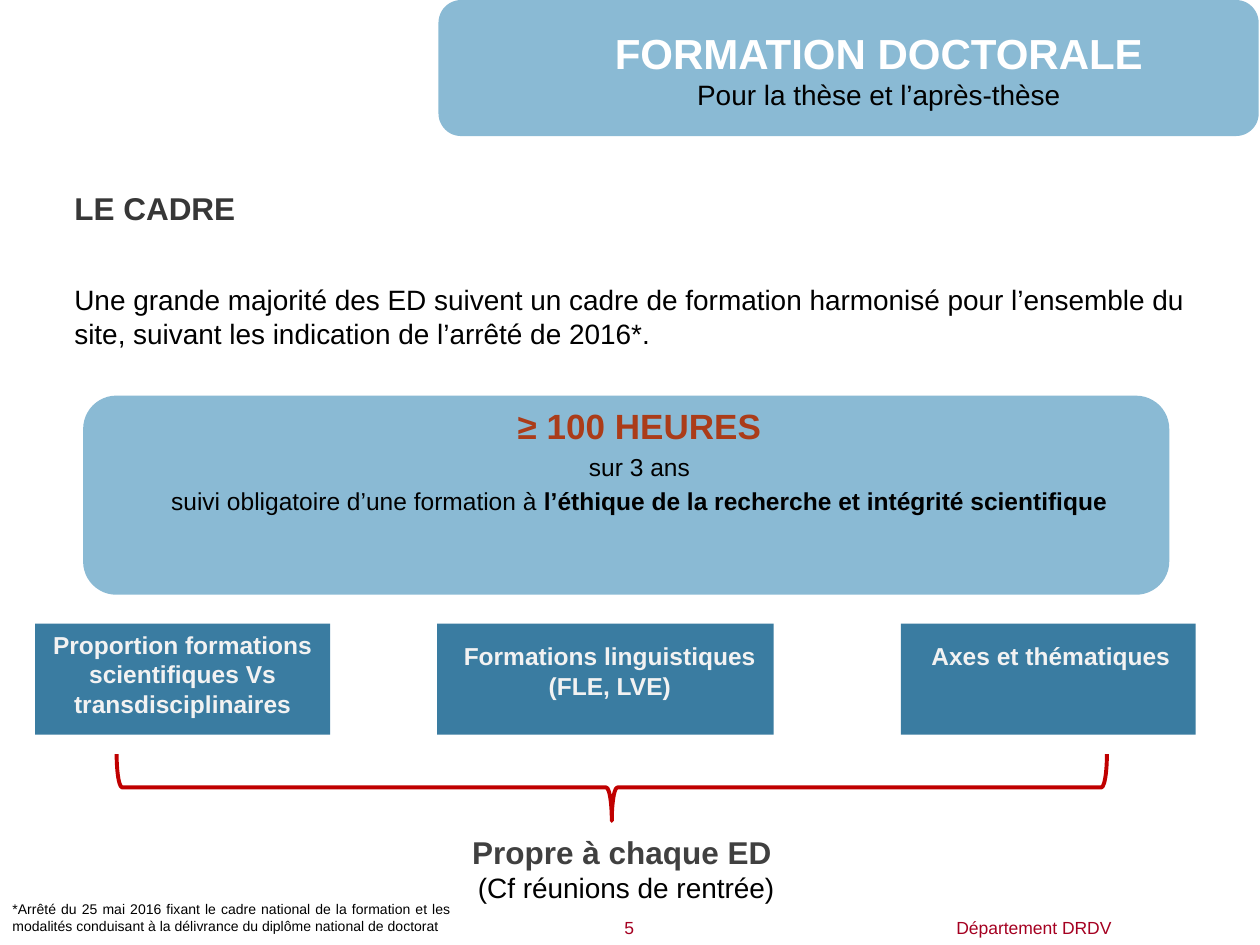
from pptx import Presentation
from pptx.dml.color import RGBColor
from pptx.enum.shapes import MSO_SHAPE as SHAPE
from pptx.enum.text import MSO_ANCHOR as ANCHOR, MSO_AUTO_SIZE as AUTO, PP_ALIGN as AL
from pptx.oxml.ns import qn
from pptx.util import Inches, Pt

WHITE = RGBColor(0xFF, 0xFF, 0xFF)
BLACK = RGBColor(0, 0, 0)
DARK = RGBColor(0x37, 0x37, 0x37)
GREY = RGBColor(0x40, 0x40, 0x40)
PALE = RGBColor(0xF2, 0xF2, 0xF2)
LIGHT_BLUE = RGBColor(0x8A, 0xBA, 0xD4)
BLUE = RGBColor(0x3A, 0x7C, 0xA1)
RUST = RGBColor(0xAB, 0x3C, 0x19)
RED = RGBColor(0xC0, 0, 0)
CRIMSON = RGBColor(0xA5, 0, 0x21)

prs = Presentation()
prs.slide_width, prs.slide_height = Inches(10), Inches(7.5)
s = prs.slides.add_slide(prs.slide_layouts[1])


def add_shape(kind, box, fill=None):
    sp = s.shapes.add_shape(kind, *map(Inches, box))
    sp.shadow.inherit = False
    sp.line.fill.background()
    if fill is None:
        sp.fill.background()
    else:
        sp.fill.solid()
        sp.fill.fore_color.rgb = fill
    return sp


def write(sp, paragraphs, align=AL.CENTER, anchor=ANCHOR.TOP):
    """Each paragraph is (alignment or None, space before, runs of (text, size, colour, bold))."""
    tf = sp.text_frame
    tf.word_wrap = True
    tf.auto_size = AUTO.NONE
    tf.vertical_anchor = anchor
    for i, (own_align, before, runs) in enumerate(paragraphs):
        p = tf.paragraphs[0] if i == 0 else tf.add_paragraph()
        p.alignment = own_align or align
        p.space_before = Pt(before)
        pPr = p._p.get_or_add_pPr()
        pPr.set("marL", "0")
        pPr.set("indent", "0")
        pPr.append(pPr.makeelement(qn("a:buNone"), {}))
        for text, size, colour, bold in runs:
            r = p.add_run()
            r.text = text
            r.font.name = "Arial"
            r.font.size = Pt(size)
            r.font.color.rgb = colour
            r.font.bold = bold
    return tf


# Page number and department
for text, left, width in (("5", 4.76, 0.47), ("Département DRDV", 7.4, 1.61)):
    sp = add_shape(SHAPE.RECTANGLE, (left, 7.23, width, 0.27), WHITE)
    write(sp, [(None, 0, [(text, 10, CRIMSON, False)])])

# Panels behind the text
for left, width in ((0.28, 2.34), (3.47, 2.67), (7.15, 2.34)):
    add_shape(SHAPE.RECTANGLE, (left, 4.95, width, 0.88), BLUE)
add_shape(SHAPE.ROUNDED_RECTANGLE, (0.66, 3.14, 8.62, 1.58), LIGHT_BLUE)
add_shape(SHAPE.ROUNDED_RECTANGLE, (3.48, 0, 6.51, 1.08), LIGHT_BLUE)

# Title and body, brought in front of the panels
title, body = s.shapes.title, s.placeholders[1]
for sp, box in ((body, (0.49, 1.45, 9.17, 6.25)), (title, (2.9, 0.35, 8.15, 0.75))):
    sp.left, sp.top, sp.width, sp.height = map(Inches, box)
    s.shapes._spTree.append(sp._element)

tf = write(title, [
    (None, 0, [("FORMATION DOCTORALE", 24, WHITE, True)]),
    (None, 0, [("Pour la thèse et l’après-thèse", 16, BLACK, False)]),
], anchor=ANCHOR.MIDDLE)
tf.margin_bottom = Inches(0.4)

write(body, [
    (AL.LEFT, 0, [("LE CADRE", 18, DARK, True)]),
    (AL.LEFT, 32, [("Une grande majorité des ED suivent un cadre de formation harmonisé "
                    "pour l’ensemble du site, suivant les indication de l’arrêté de 2016*.",
                    16, BLACK, False)]),
    (None, 31, [("≥ 100 HEURES", 20, RUST, True)]),
    (None, 3, [("sur 3 ans", 14, BLACK, False)]),
    (None, 3, [("suivi obligatoire d’une formation à ", 14, BLACK, False),
               ("l’éthique de la recherche et intégrité scientifique", 14, BLACK, True)]),
])

# Panel labels
for text, box in (
    ("Proportion formations scientifiques Vs transdisciplinaires", (0.28, 4.95, 2.34, 0.81)),
    ("Formations linguistiques (FLE, LVE)", (3.54, 5.04, 2.6, 0.57)),
    ("Axes et thématiques", (7.17, 5.04, 2.34, 0.34)),
):
    write(s.shapes.add_textbox(*map(Inches, box)), [(None, 0, [(text, 14, PALE, True)])])

# Brace and its conclusion
brace = add_shape(SHAPE.RIGHT_BRACE, (4.59, 2.32, 0.53, 7.86))
brace.rotation = 90
brace.line.color.rgb = RED
brace.line.width = Pt(2.25)
write(s.shapes.add_textbox(*map(Inches, (3.37, 6.56, 3.2, 0.67))), [
    (None, 0, [("Propre à chaque ED ", 18, GREY, True)]),
    (None, 0, [("(Cf réunions de rentrée)", 16, BLACK, False)]),
])

# Footnote
write(s.shapes.add_textbox(*map(Inches, (0, 7.1, 3.68, 0.4))), [
    (None, 0, [("*Arrêté du 25 mai 2016 fixant le cadre national de la formation et les modalités "
                "conduisant à la délivrance du diplôme national de doctorat", 8, BLACK, False)]),
], align=AL.JUSTIFY)

prs.save("out.pptx")
